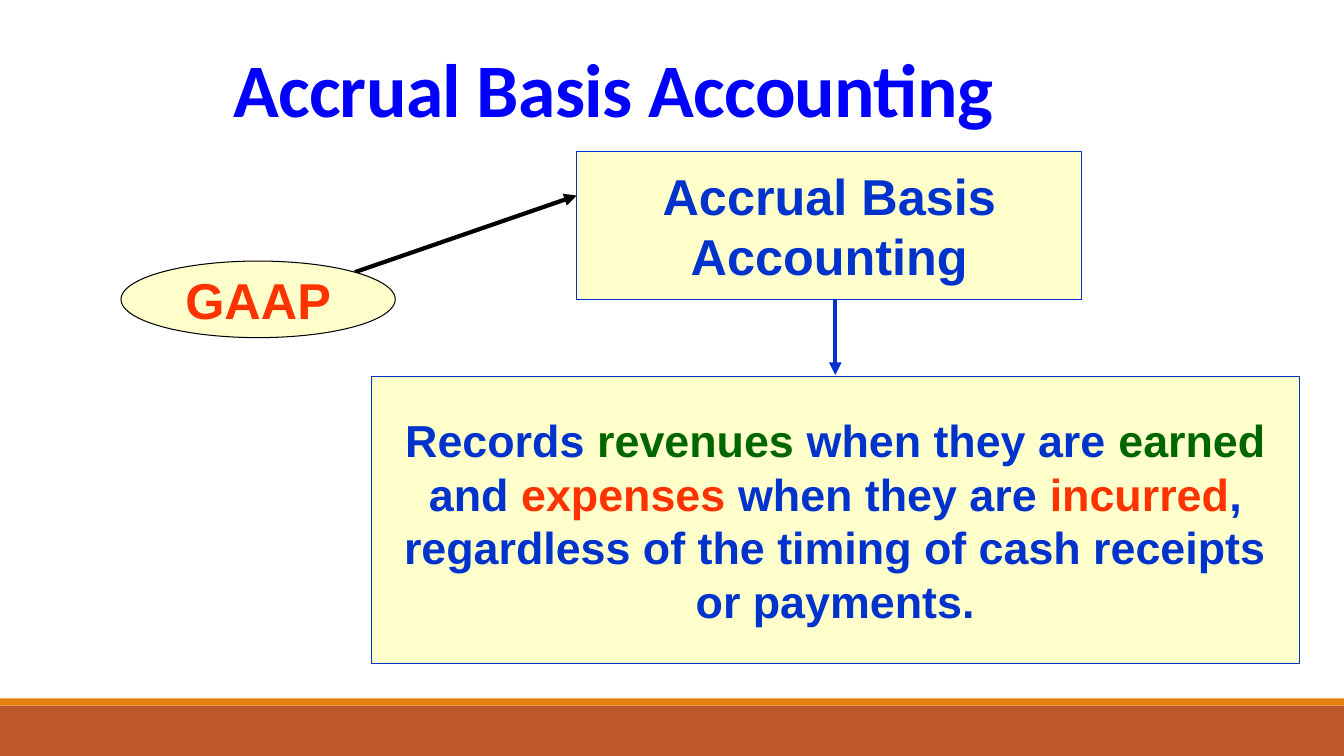
from lxml.etree import SubElement
from pptx import Presentation
from pptx.dml.color import RGBColor
from pptx.enum.shapes import MSO_CONNECTOR, MSO_SHAPE
from pptx.enum.text import MSO_ANCHOR, PP_ALIGN
from pptx.oxml.ns import qn
from pptx.util import Inches, Pt

COLORS = {
    "title": "0000FF", "blue": "0033CC", "green": "006600", "red": "FF3300",
    "cream": "FFFFCC", "black": "000000", "orange": "E48312", "rust": "BD582C",
}
WIDTH, HEIGHT = 13.33, 7.5
TITLE = "Accrual Basis Accounting"
DEFINITION = [
    ("Records ", "blue"), ("revenues ", "green"), ("when they are ", "blue"),
    ("earned", "green"), (" and ", "blue"), ("expenses", "red"),
    (" when they are ", "blue"), ("incurred", "red"),
    (", regardless of the timing of cash receipts or payments.", "blue"),
]
BANDS = [("rust", 7, 0.5), ("orange", 6.93, 0.07)]
METHOD_BOX = (5.72, 1.5, 5.01, 1.47)
DEFINITION_BOX = (3.68, 3.74, 9.21, 2.84)
NODES = [
    (MSO_SHAPE.OVAL, (1.2, 2.59, 2.72, 0.76), "black", 36, [("GAAP", "red")], False),
    (MSO_SHAPE.RECTANGLE, DEFINITION_BOX, "blue", 32, DEFINITION, True),
    (MSO_SHAPE.RECTANGLE, METHOD_BOX, "blue", 36, [(TITLE, "blue")], True),
]
definition_center = DEFINITION_BOX[0] + DEFINITION_BOX[2] / 2
method_bottom = METHOD_BOX[1] + METHOD_BOX[3]
ARROWS = [
    ((definition_center, method_bottom), (definition_center, 3.72), "blue"),
    ((3.52, 2.7), (METHOD_BOX[0], 1.94), "black"),
]


def color(name):
    return RGBColor.from_string(COLORS[name])


def write(paragraph, runs, size, font):
    paragraph.alignment = PP_ALIGN.CENTER
    for words, tint in runs:
        run = paragraph.add_run()
        run.text = words
        run.font.name, run.font.size, run.font.bold = font, Pt(size), True
        run.font.color.rgb = color(tint)


def add_block(slide, kind, place, fill, outline=None):
    block = slide.shapes.add_shape(kind, *map(Inches, place))
    block.shadow.inherit = False
    block.fill.solid()
    block.fill.fore_color.rgb = color(fill)
    if outline:
        block.line.color.rgb = color(outline)
        block.line.width = Pt(0.75)
    else:
        block.line.fill.background()
    return block


def add_arrow(slide, start, end, tint):
    arrow = slide.shapes.add_connector(MSO_CONNECTOR.STRAIGHT, *map(Inches, start + end))
    arrow.line.color.rgb = color(tint)
    arrow.line.width = Pt(3)
    SubElement(arrow.line._get_or_add_ln(), qn("a:tailEnd"), type="triangle")
    SubElement(arrow._element.spPr, qn("a:effectLst"))


def main():
    deck = Presentation()
    deck.slide_width, deck.slide_height = Inches(WIDTH), Inches(HEIGHT)
    slide = deck.slides.add_slide(deck.slide_layouts[6])

    for tint, top, height in BANDS:
        add_block(slide, MSO_SHAPE.RECTANGLE, (0, top, WIDTH, height), tint)

    heading = slide.shapes.add_textbox(*map(Inches, (0.58, 0.5, 11, 1.59))).text_frame
    heading.word_wrap = True
    heading.paragraphs[0].line_spacing = 0.85
    write(heading.paragraphs[0], [(TITLE, "title")], 54, "Calibri")
    heading.paragraphs[0].runs[0].font._element.set("spc", "-50")

    for start, end, tint in ARROWS:
        add_arrow(slide, start, end, tint)
    for kind, place, outline, size, runs, wraps in NODES:
        frame = add_block(slide, kind, place, "cream", outline).text_frame
        frame.word_wrap = wraps
        frame.vertical_anchor = MSO_ANCHOR.MIDDLE
        write(frame.paragraphs[0], runs, size, "Arial")

    deck.save("out.pptx")


if __name__ == "__main__":
    main()
